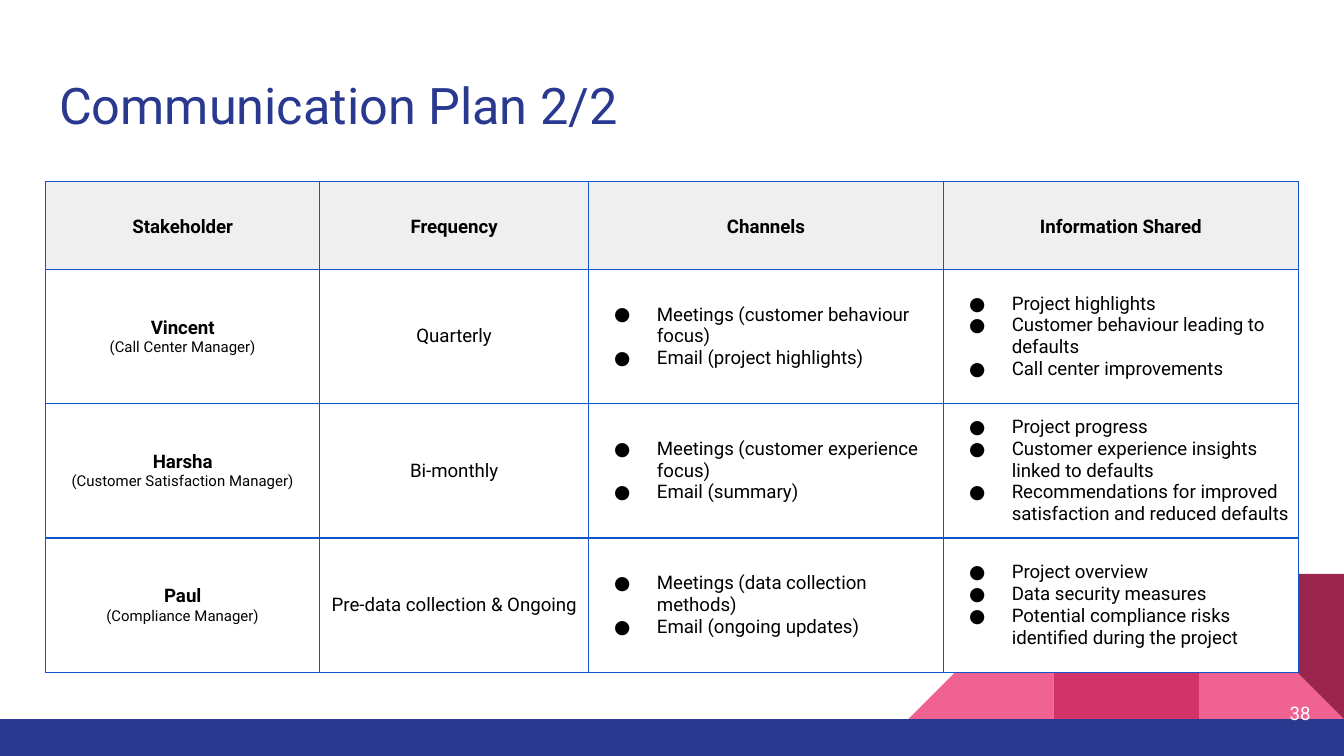
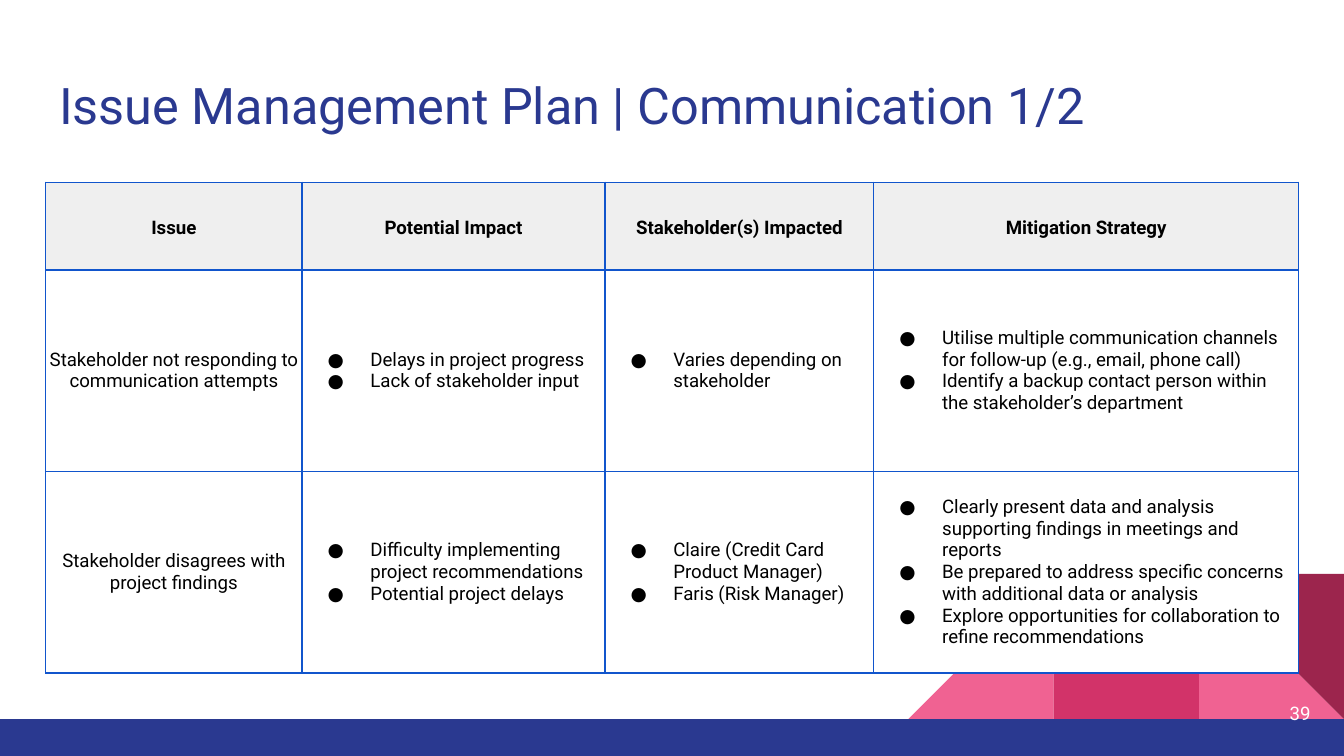
from lxml import etree
from pptx import Presentation
from pptx.dml.color import RGBColor
from pptx.enum import shapes, text
from pptx.oxml import ns
from pptx.util import Pt

FONT = "Roboto"
NAVY, PINK, ROSE, WINE = "2A3990", "F06292", "D23369", "9C254D"
BLACK, WHITE, GREY, BORDER = "000000", "FFFFFF", "EFEFEF", "1155CC"
WIDTH, HEIGHT = 720, 405
MARGIN, CONTENT_WIDTH = 24.5, 671
BAND_TOP, TILE = 385.2, 77.8
HEADER_HEIGHT, BODY_HEIGHT = 47, 216
CENTER, RIGHT = text.PP_ALIGN.CENTER, text.PP_ALIGN.RIGHT

# Cell content: a string is centred, a tuple is name and role, a list is bulleted.
SLIDES = [
    {
        "title": "Communication Plan 2/2",
        "number": 38,
        "top": 97.2,
        "columns": [146.8, 144, 190.1, 190.1],
        "header": ["Stakeholder", "Frequency", "Channels", "Information Shared"],
        "rows": [
            [("Vincent", "(Call Center Manager)"), "Quarterly",
             ["Meetings (customer behaviour focus)", "Email (project highlights)"],
             ["Project highlights", "Customer behaviour leading to defaults",
              "Call center improvements"]],
            [("Harsha", "(Customer Satisfaction Manager)"), "Bi-monthly",
             ["Meetings (customer experience focus)", "Email (summary)"],
             ["Project progress", "Customer experience insights linked to defaults",
              "Recommendations for improved satisfaction and reduced defaults"]],
            [("Paul", "(Compliance Manager)"), "Pre-data collection & Ongoing",
             ["Meetings (data collection methods)", "Email (ongoing updates)"],
             ["Project overview", "Data security measures",
              "Potential compliance risks identified during the project"]],
        ],
    },
    {
        "title": "Issue Management Plan | Communication 1/2",
        "number": 39,
        "top": 97.6,
        "columns": [137.3, 162.3, 144, 227.6],
        "header": ["Issue", "Potential Impact", "Stakeholder(s) Impacted",
                   "Mitigation Strategy"],
        "rows": [
            ["Stakeholder not responding to communication attempts",
             ["Delays in project progress", "Lack of stakeholder input"],
             ["Varies depending on stakeholder"],
             ["Utilise multiple communication channels for follow-up (e.g., email, phone call)",
              "Identify a backup contact person within the stakeholder’s department"]],
            ["Stakeholder disagrees with project findings",
             ["Difficulty implementing project recommendations",
              "Potential project delays"],
             ["Claire (Credit Card Product Manager)", "Faris (Risk Manager)"],
             ["Clearly present data and analysis supporting findings in meetings and reports",
              "Be prepared to address specific concerns with additional data or analysis",
              "Explore opportunities for collaboration to refine recommendations"]],
        ],
    },
]

TRIANGLE, RECT = shapes.MSO_SHAPE.RIGHT_TRIANGLE, shapes.MSO_SHAPE.RECTANGLE
TILE_TOP = BAND_TOP - TILE
DECORATION = [
    (TRIANGLE, WIDTH - TILE, TILE_TOP, TILE, TILE, PINK, 0, False),
    (TRIANGLE, WIDTH - 3 * TILE, TILE_TOP, TILE, TILE, PINK, 0, True),
    (RECT, WIDTH - 2 * TILE, TILE_TOP, TILE, TILE, ROSE, 0, False),
    (TRIANGLE, WIDTH - TILE, TILE_TOP, TILE, TILE, WINE, 180, False),
    (RECT, 0, BAND_TOP, WIDTH, HEIGHT - BAND_TOP, NAVY, 0, False),
]


def rgb(color):
    return RGBColor.from_string(color)


def child(parent, tag, **attributes):
    return etree.SubElement(parent, ns.qn(tag), attributes)


def write(p, content, size=10, color=BLACK, bold=False, align=None, bullet=False):
    r = p.add_run()
    r.text = content
    r.font.name, r.font.size, r.font.bold = FONT, Pt(size), bold
    r.font.color.rgb = rgb(color)
    if align is not None:
        p.alignment = align
    if bullet:
        pPr = p._p.get_or_add_pPr()
        pPr.set("marL", str(Pt(36)))
        pPr.set("indent", str(Pt(-22.9)))
        child(child(pPr, "a:buClr"), "a:srgbClr", val=color)
        child(pPr, "a:buFont", typeface=FONT)
        child(pPr, "a:buChar", char="●")


def set_insets(box, inset):
    box.margin_left = box.margin_right = Pt(inset)
    box.margin_top = box.margin_bottom = Pt(inset)


def add_borders(cell):
    tcPr = cell._tc.get_or_add_tcPr()
    for i, tag in enumerate(("a:lnL", "a:lnR", "a:lnT", "a:lnB")):
        line = etree.Element(ns.qn(tag), w=str(Pt(0.75)))
        child(child(line, "a:solidFill"), "a:srgbClr", val=BORDER)
        tcPr.insert(i, line)


def fill_cell(cell, content, header):
    cell.fill.solid()
    cell.fill.fore_color.rgb = rgb(GREY if header else WHITE)
    add_borders(cell)
    set_insets(cell, 7.2 if header else 0.7)
    cell.vertical_anchor = text.MSO_ANCHOR.MIDDLE
    tf = cell.text_frame
    for i, line in enumerate([content] if isinstance(content, str) else content):
        p = tf.add_paragraph() if i else tf.paragraphs[0]
        if isinstance(content, list):
            write(p, line, bullet=True)
        elif isinstance(content, tuple):
            write(p, line, size=8 if i else 10, bold=i == 0, align=CENTER)
        else:
            write(p, line, bold=header, align=CENTER)
        if header:
            p.line_spacing, p.space_before = 1.15, Pt(12)


def add_grid(s, data):
    rows = [data["header"]] + data["rows"]
    columns = data["columns"]
    table = s.shapes.add_table(
        len(rows), len(columns), Pt(MARGIN), Pt(data["top"]),
        Pt(sum(columns)), Pt(HEADER_HEIGHT + BODY_HEIGHT)).table
    for column, width in zip(table.columns, columns):
        column.width = Pt(width)
    for i, row in enumerate(rows):
        table.rows[i].height = Pt(BODY_HEIGHT / len(data["rows"]) if i else HEADER_HEIGHT)
        for j, content in enumerate(row):
            fill_cell(table.cell(i, j), content, header=i == 0)


def decorate_layout(layout, s):
    for i, (kind, x, y, w, h, color, rotation, flipped) in enumerate(DECORATION):
        sp = s.shapes.add_shape(kind, Pt(x), Pt(y), Pt(w), Pt(h))
        sp.shadow.inherit = False
        sp.fill.solid()
        sp.fill.fore_color.rgb = rgb(color)
        sp.line.fill.background()
        sp.rotation = rotation
        if flipped:
            sp.element.spPr.get_or_add_xfrm().set("flipH", "1")
        sp.element.nvSpPr.cNvPr.set("id", str(100 + i))
        layout.shapes.element.append(sp.element)


def add_title(s, content):
    sp = s.shapes.title
    sp.left, sp.top = Pt(MARGIN), Pt(32.4)
    sp.width, sp.height = Pt(CONTENT_WIDTH), Pt(47.5)
    tf = sp.text_frame
    set_insets(tf, 7.2)
    tf.auto_size = text.MSO_AUTO_SIZE.NONE
    tf.vertical_anchor = text.MSO_ANCHOR.TOP
    write(tf.paragraphs[0], content, size=27, color=NAVY, align=text.PP_ALIGN.LEFT)


def add_number(s, number):
    tf = s.shapes.add_textbox(Pt(666), Pt(366.5), Pt(43.2), Pt(31)).text_frame
    tf.word_wrap = True
    tf.vertical_anchor = text.MSO_ANCHOR.MIDDLE
    set_insets(tf, 7.2)
    write(tf.paragraphs[0], str(number), color=WHITE, align=RIGHT)


def main():
    prs = Presentation()
    prs.slide_width, prs.slide_height = Pt(WIDTH), Pt(HEIGHT)
    layout = prs.slide_layouts[5]
    for i, data in enumerate(SLIDES):
        s = prs.slides.add_slide(layout)
        if i == 0:
            decorate_layout(layout, s)
        add_title(s, data["title"])
        add_grid(s, data)
        add_number(s, data["number"])
    prs.save("out.pptx")


if __name__ == "__main__":
    main()
